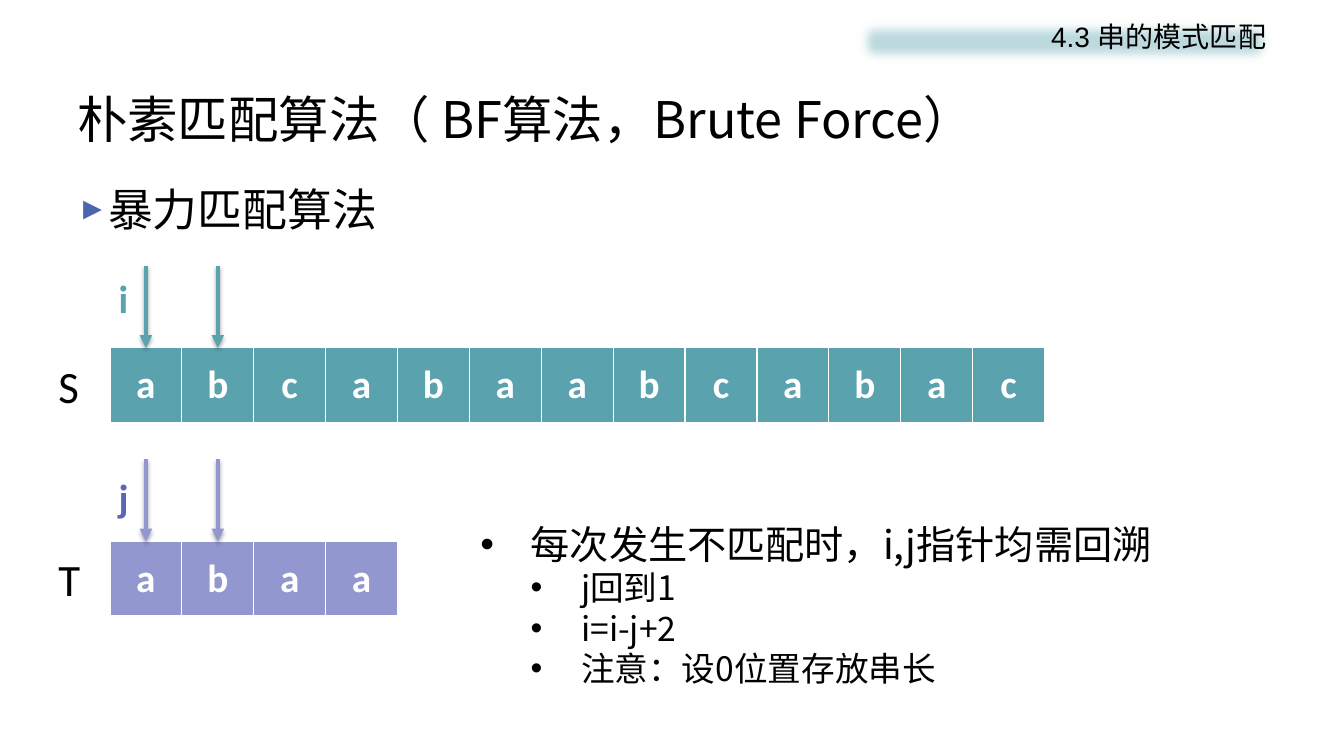
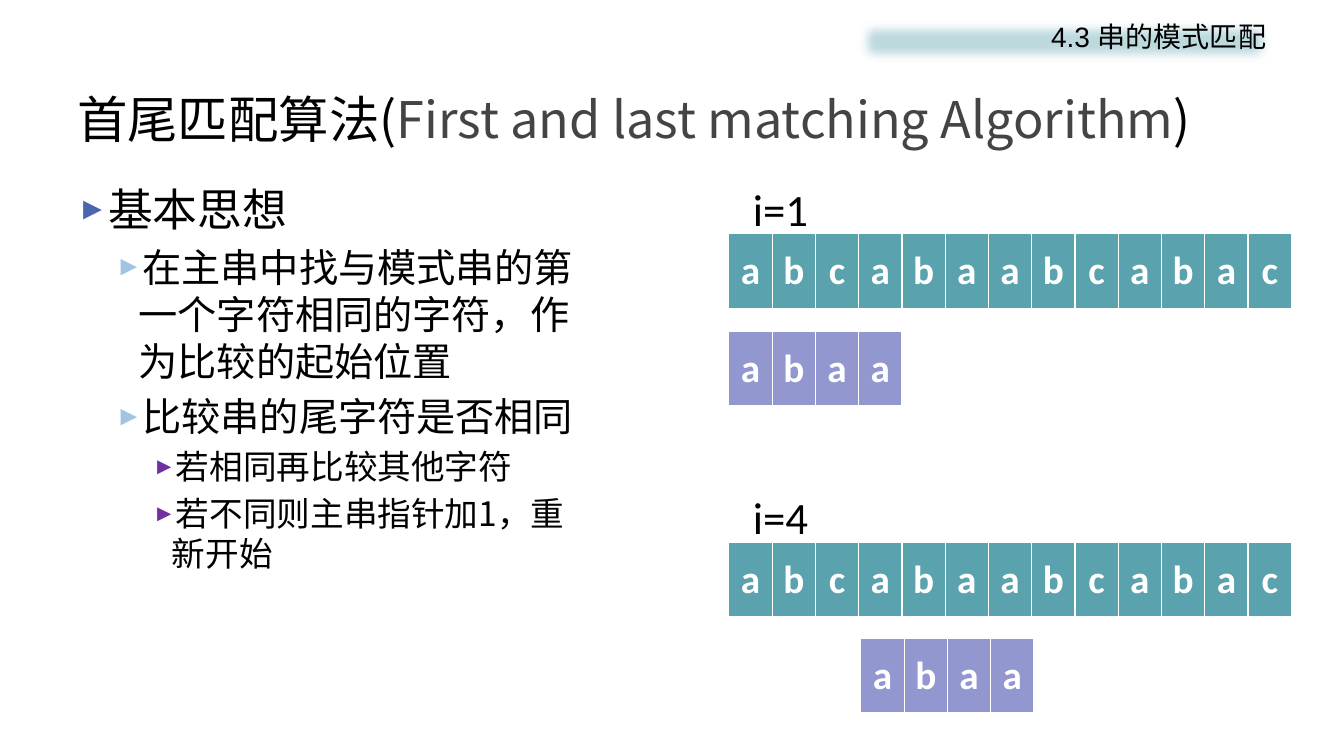
import pptx
import pptx.util
import pptx.dml.color
import pptx.enum.shapes
import pptx.enum.text
import pptx.oxml
import pptx.oxml.ns

Pt, Inches = pptx.util.Pt, pptx.util.Inches
RGB = pptx.dml.color.RGBColor.from_string
ALIGN = pptx.enum.text.PP_ALIGN
MIDDLE = pptx.enum.text.MSO_ANCHOR.MIDDLE
NS = pptx.oxml.ns.nsdecls("a")

HUE = {"ink": "000000", "grey": "444444", "white": "FFFFFF", "teal": "5AA2AE",
       "lilac": "9297CF", "violet": "5C64B7", "band": "BDDADF",
       "blue": "4A66AC", "sky": "A1C4E3", "purple": "7030A0"}
HAN = "Noto Sans CJK SC"

# Paragraph styles: face, size, bold, align, colour
STYLE = {
    "title": (HAN, 36, False, "LEFT", "ink"),
    "head": ("Arial", 20, False, "RIGHT", "ink"),
    "label": ("Calibri", 32, False, "LEFT", "ink"),
    "i": ("Calibri", 28, True, "CENTER", "teal"),
    "j": ("Calibri", 28, True, "CENTER", "violet"),
    "cell": ("Calibri", 28, True, "CENTER", "white"),
    "main": (HAN, 32, False, "LEFT", "ink"),
    "sub": (HAN, 28, False, "LEFT", "ink"),
    "leaf": (HAN, 24, False, "LEFT", "ink"),
    "dot": (HAN, 28, False, "LEFT", "ink"),
    "subdot": (HAN, 24, False, "LEFT", "ink"),
}
# Bullets: level, indent and hang in inches, sign, colour
MARK = {
    "main": (0, 0.28, 0.28, "►", "blue"),
    "sub": (1, 0.61, 0.23, "►", "sky"),
    "leaf": (2, 0.94, 0.19, "►", "purple"),
    "dot": (0, 0.5, 0.5, "•", None),
    "subdot": (1, 1, 0.5, "•", None),
}

deck = pptx.Presentation()
deck.slide_width, deck.slide_height = Inches(13.33), Inches(7.5)
# One column and one row are a hundredth of the slide
COL, ROW = deck.slide_width / 100, deck.slide_height / 100


def write(frame, paras):
    """Fill a text frame with (style, text) pairs; a text may be a list of (part, colour)."""
    frame.word_wrap = True
    for n, (style, text) in enumerate(paras):
        face, size, bold, align, hue = STYLE[style]
        para = frame.paragraphs[0] if n == 0 else frame.add_paragraph()
        para.alignment = getattr(ALIGN, align)
        props = para._p.get_or_add_pPr()
        if style in MARK:
            para.level, left, hang, sign, tint = MARK[style]
            props.set("marL", str(Inches(left)))
            props.set("indent", str(-Inches(hang)))
            marks = [f'<a:buFont {NS} typeface="Arial"/>', f'<a:buChar {NS} char="{sign}"/>']
            if tint:
                marks = [f'<a:spcBef {NS}><a:spcPct val="20000"/></a:spcBef>',
                         f'<a:buClr {NS}><a:srgbClr val="{HUE[tint]}"/></a:buClr>',
                         f'<a:buSzPct {NS} val="70000"/>'] + marks
            for mark in marks:
                props.append(pptx.oxml.parse_xml(mark))
        for part, tone in [(text, hue)] if isinstance(text, str) else text:
            run = para.add_run()
            run.text = part
            run.font.name, run.font.size, run.font.bold = face, Pt(size), bold
            run.font.color.rgb = RGB(HUE[tone])
            run.font._element.find(pptx.oxml.ns.qn("a:latin")).addnext(
                pptx.oxml.parse_xml(f'<a:ea {NS} typeface="{HAN}"/>'))


def strip(slide, word, x, y, wide, hue):
    """Draw a word as a one-row table, one letter a cell."""
    frame = slide.shapes.add_table(1, len(word), int(x * COL), int(y * ROW),
                                   int(len(word) * wide * COL), int(10 * ROW))
    for cell, letter in zip(frame.table.iter_cells(), word):
        props = cell._tc.get_or_add_tcPr()
        for side, width in zip("LRTB", (1, 1, 1, 3)):
            props.append(pptx.oxml.parse_xml(
                f'<a:ln{side} {NS} w="{Pt(width)}"><a:solidFill>'
                f'<a:srgbClr val="{HUE["white"]}"/></a:solidFill></a:ln{side}>'))
        cell.fill.solid()
        cell.fill.fore_color.rgb = RGB(HUE[hue])
        cell.vertical_anchor = MIDDLE
        write(cell.text_frame, [("cell", letter)])


MAIN, PART = "abcabaabcabac", "abaa"

# Text of each slide: title, then boxes of x, y, width, height, paragraphs
pages = [
    ("朴素匹配算法（ BF算法，Brute Force）", [
        (5, 23.33, 90, 10, [("main", "暴力匹配算法")]),
        (3.6, 46.73, 4.58, 8.53, [("label", "S")]),
        (3.6, 72.33, 4.58, 8.53, [("label", "T")]),
        (7.58, 35.6, 3.23, 7.6, [("i", "i")]),
        (7.58, 62, 3.23, 7.6, [("j", "j")]),
        (35, 68.13, 60, 23.73, [
            ("dot", "每次发生不匹配时，i,j指针均需回溯"),
            ("subdot", "j回到1"),
            ("subdot", "i=i-j+2"),
            ("subdot", "注意：设0位置存放串长")]),
    ]),
    ([("首尾匹配算法(", "ink"), ("First and last matching Algorithm", "grey"), (")", "ink")], [
        (5, 23.33, 38.78, 70.13, [
            ("main", "基本思想"),
            ("sub", "在主串中找与模式串的第一个字符相同的字符，作为比较的起始位置"),
            ("sub", "比较串的尾字符是否相同"),
            ("leaf", "若相同再比较其他字符"),
            ("leaf", "若不同则主串指针加1，重新开始")]),
        (55.28, 23.33, 6.38, 8.53, [("label", "i=1")]),
        (55.28, 64.13, 6.38, 8.53, [("label", "i=4")]),
    ]),
]
# Strips of each slide: word, x, y, cell width, colour
strips = [
    [(MAIN, 8.18, 46, 5.35, "teal"), (PART, 8.18, 71.6, 5.35, "lilac")],
    [(MAIN, 54.23, 30.93, 3.22, "teal"), (PART, 54.23, 43.87, 3.22, "lilac"),
     (MAIN, 54.23, 71.73, 3.22, "teal"), (PART, 64.05, 84.4, 3.22, "lilac")],
]

for (title, boxes), rows in zip(pages, strips):
    slide = deck.slides.add_slide(deck.slide_layouts[6])

    # Section band with soft edges
    band = slide.shapes.add_shape(
        pptx.enum.shapes.MSO_SHAPE.RECTANGLE,
        int(63.45 * COL), int(1.87 * ROW), int(31.5 * COL), int(7.2 * ROW))
    band.fill.solid()
    band.fill.fore_color.rgb = RGB(HUE["band"])
    band.line.fill.background()
    band.shadow.inherit = False
    band._element.spPr.find(pptx.oxml.ns.qn("a:effectLst")).append(
        pptx.oxml.parse_xml(f'<a:softEdge {NS} rad="112500"/>'))
    band.text_frame.vertical_anchor = pptx.enum.text.MSO_ANCHOR.TOP
    write(band.text_frame, [("head", "4.3 串的模式匹配")])

    # Title and text boxes
    for x, y, w, h, paras in [(5, 10.67, 90, 10, [("title", title)])] + boxes:
        box = slide.shapes.add_textbox(int(x * COL), int(y * ROW), int(w * COL), int(h * ROW))
        write(box.text_frame, paras)
        if paras[0][0] == "title":
            box.text_frame.vertical_anchor = MIDDLE

    # Letter strips
    for row in rows:
        strip(slide, *row)

# Pointers above the first two cells of each strip on the first slide
for word, x, y, wide, hue in strips[0]:
    for n in range(2):
        mid = int((x + (n + 0.5) * wide) * COL)
        arrow = deck.slides[0].shapes.add_connector(
            pptx.enum.shapes.MSO_CONNECTOR.STRAIGHT,
            mid, int((y - 10.87) * ROW), mid, int(y * ROW))
        arrow.line.width = Pt(3)
        arrow.line.color.rgb = RGB(HUE[hue])
        arrow.line._get_or_add_ln().append(
            pptx.oxml.parse_xml(f'<a:tailEnd {NS} type="triangle"/>'))
        arrow._element.spPr.append(pptx.oxml.parse_xml(
            f'<a:effectLst {NS}><a:outerShdw blurRad="{Pt(3.1)}" dist="{Pt(1.8)}" '
            f'dir="5400000" rotWithShape="0"><a:srgbClr val="{HUE["ink"]}">'
            f'<a:alpha val="35000"/></a:srgbClr></a:outerShdw></a:effectLst>'))

deck.save("out.pptx")
